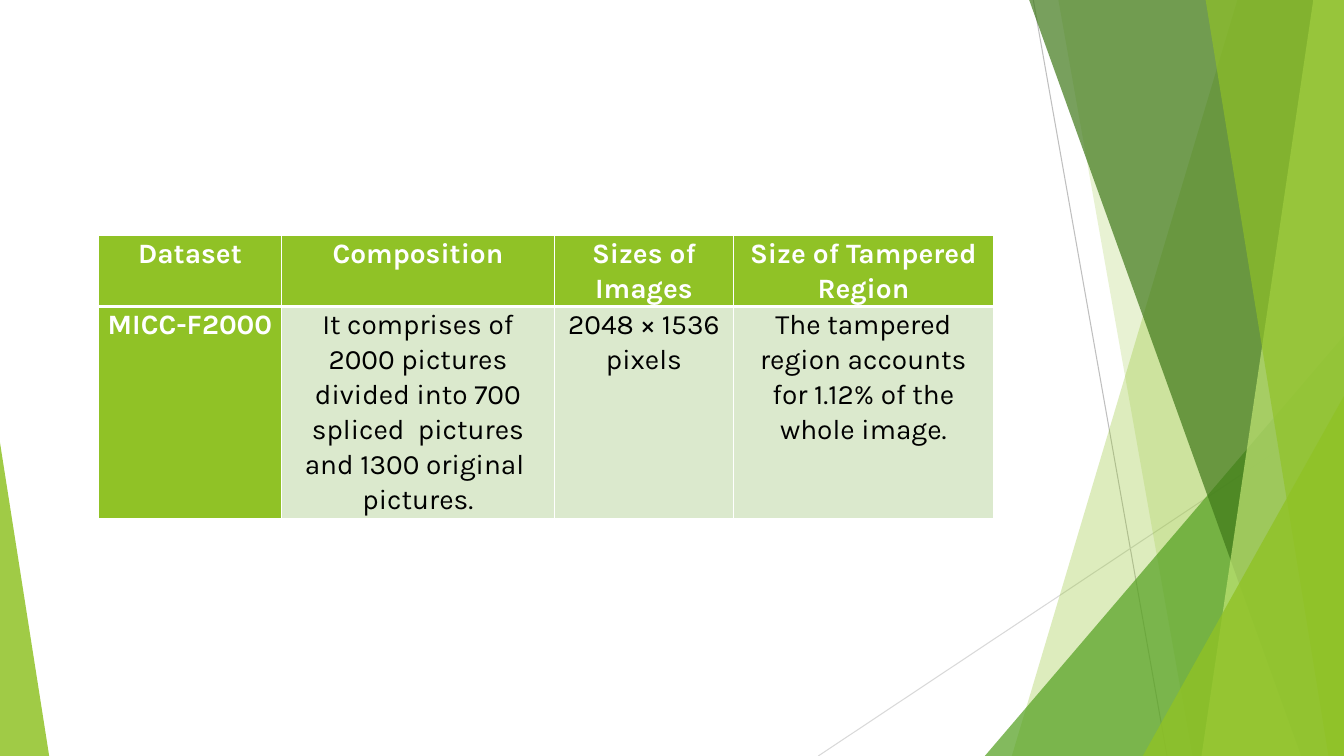
from dataclasses import dataclass

from lxml import etree
from pptx import Presentation
from pptx.dml.color import RGBColor
from pptx.enum.shapes import MSO_CONNECTOR, MSO_SHAPE
from pptx.enum.text import PP_ALIGN
from pptx.oxml.ns import qn
from pptx.util import Cm, Pt

STRAIGHT = MSO_CONNECTOR.STRAIGHT
TRIANGLE = MSO_SHAPE.ISOSCELES_TRIANGLE
CENTER = PP_ALIGN.CENTER


@dataclass(frozen=True)
class Theme:
    font: str = "Karla"
    text_size: float = 20
    white: str = "FFFFFF"
    black: str = "000000"
    lime: str = "90C226"
    pale_lime: str = "C0E474"
    green: str = "54A021"
    dark_green: str = "3F7819"
    body_fill: str = "DBE9CD"
    gray: str = "BFBFBF"
    light_gray: str = "D9D9D9"


THEME = Theme()

DATASETS = [
    ["Dataset", "Composition", "Sizes of Images", "Size of Tampered Region"],
    [
        "MICC-F2000",
        "It comprises of 2000 pictures divided into 700 spliced  pictures and 1300 original  pictures.",
        "2048 × 1536 pixels",
        "The tampered region accounts for 1.12% of the whole image.",
    ],
]
COLUMN_WIDTHS = [4.6, 6.89, 4.5, 6.56]
ROW_HEIGHTS = [1.78, 5.36]
TABLE_LEFT, TABLE_TOP = 2.49, 5.94

SLIDE_WIDTH, SLIDE_HEIGHT = 33.87, 19.05
BAND_TOP = -0.02

RAYS = [
    ((26.04, 0), (29.41, SLIDE_HEIGHT), THEME.gray),
    ((SLIDE_WIDTH, 10.24), (20.62, SLIDE_HEIGHT), THEME.light_gray),
]
# kind, geometry, colour, opacity
FACETS = [
    ("band", (31.19, 25.5), THEME.lime, 30),
    ("band", (26.67, 30.05), THEME.lime, 20),
    ("wedge", (24.82, 8.46, 9.05, 1), THEME.green, 72),
    ("band", (25.93, 32.79), THEME.dark_green, 70),
    ("band", (33.1, 30.28), THEME.pale_lime, 70),
    ("band", (30.38, 33.48), THEME.lime, 65),
    ("wedge", (28.8, 9.98, 5.07, 1), THEME.lime, 80),
    ("wedge", (0, 11.15, 1.24, 0), THEME.lime, 85),
]


def rgb(color):
    return RGBColor.from_string(color)


def add_ray(shapes, start, end, color):
    ray = shapes.add_connector(STRAIGHT, *map(Cm, start + end))
    ray.line.color.rgb = rgb(color)
    ray.line.width = Pt(0.75)
    etree.SubElement(ray._element.spPr, qn("a:effectLst"))


def add_band(shapes, top_left, bottom_left):
    corners = [
        (SLIDE_WIDTH, BAND_TOP),
        (SLIDE_WIDTH, SLIDE_HEIGHT),
        (bottom_left, SLIDE_HEIGHT),
    ]
    outline = shapes.build_freeform(Cm(top_left), Cm(BAND_TOP))
    outline.add_line_segments([(Cm(x), Cm(y)) for x, y in corners], close=True)
    return outline.convert_to_shape()


def add_wedge(shapes, left, top, width, apex):
    wedge = shapes.add_shape(
        TRIANGLE, Cm(left), Cm(top), Cm(width), Cm(SLIDE_HEIGHT - top)
    )
    wedge.adjustments[0] = apex
    return wedge


def paint(facet, color, opacity):
    facet.shadow.inherit = False
    facet.line.fill.background()
    facet.fill.solid()
    facet.fill.fore_color.rgb = rgb(color)
    tint = facet._element.spPr.find(qn("a:solidFill"))[0]
    etree.SubElement(tint, qn("a:alpha"), val=str(opacity * 1000))


def add_borders(cell, widths):
    properties = cell._tc.get_or_add_tcPr()
    for side, width in widths.items():
        border = etree.SubElement(properties, qn(f"a:ln{side}"), w=str(Pt(width)))
        border_fill = etree.SubElement(border, qn("a:solidFill"))
        etree.SubElement(border_fill, qn("a:srgbClr"), val=THEME.white)


def fill_cell(cell, text, is_header, is_label):
    add_borders(
        cell,
        {"L": 1, "R": 1, "T": 1 if is_header else 3, "B": 3 if is_header else 1},
    )
    cell.fill.solid()
    cell.fill.fore_color.rgb = rgb(THEME.lime if is_label else THEME.body_fill)
    cell.margin_left = cell.margin_right = Cm(0.18)
    cell.margin_top = cell.margin_bottom = 0
    cell.text = text
    paragraph = cell.text_frame.paragraphs[0]
    paragraph.alignment = CENTER
    paragraph.line_spacing = 1.07
    paragraph.space_after = Pt(8)
    paragraph.font.name = THEME.font
    paragraph.font.size = Pt(THEME.text_size)
    paragraph.font.bold = is_label
    paragraph.font.color.rgb = rgb(THEME.white if is_label else THEME.black)


def add_dataset_table(shapes):
    table = shapes.add_table(
        len(DATASETS), len(COLUMN_WIDTHS), Cm(TABLE_LEFT), Cm(TABLE_TOP),
        Cm(sum(COLUMN_WIDTHS)), Cm(sum(ROW_HEIGHTS)),
    ).table
    for column, width in zip(table.columns, COLUMN_WIDTHS):
        column.width = Cm(width)
    for row, height in zip(table.rows, ROW_HEIGHTS):
        row.height = Cm(height)
    for r, texts in enumerate(DATASETS):
        for c, text in enumerate(texts):
            fill_cell(table.cell(r, c), text, r == 0, r == 0 or c == 0)


def main():
    presentation = Presentation()
    presentation.slide_width = Cm(SLIDE_WIDTH)
    presentation.slide_height = Cm(SLIDE_HEIGHT)
    shapes = presentation.slides.add_slide(presentation.slide_layouts[6]).shapes
    for start, end, color in RAYS:
        add_ray(shapes, start, end, color)
    builders = {"band": add_band, "wedge": add_wedge}
    for kind, geometry, color, opacity in FACETS:
        paint(builders[kind](shapes, *geometry), color, opacity)
    add_dataset_table(shapes)
    presentation.save("out.pptx")


if __name__ == "__main__":
    main()
